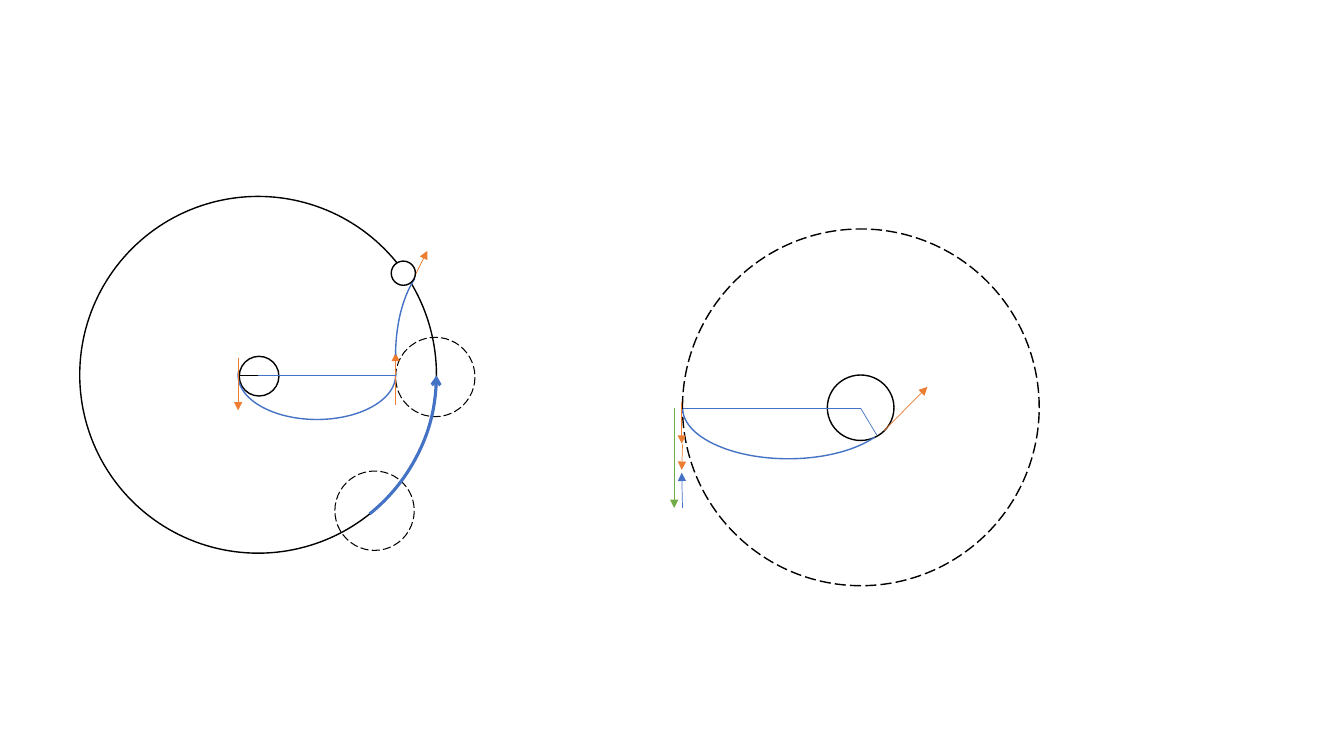
from lxml import etree
from pptx import Presentation
from pptx import util as u
from pptx.dml.color import RGBColor
from pptx.enum import dml, shapes
from pptx.oxml.ns import qn

BLACK = RGBColor(0x00, 0x00, 0x00)
WHITE = RGBColor(0xFF, 0xFF, 0xFF)
BLUE = RGBColor(0x44, 0x72, 0xC4)
ORANGE = RGBColor(0xED, 0x7D, 0x31)
GREEN = RGBColor(0x70, 0xAD, 0x47)

CIRCLE = shapes.MSO_SHAPE.FLOWCHART_CONNECTOR
ARC = shapes.MSO_SHAPE.ARC
ORBIT_SIZE = 8.99


def add_outline(parent, kind, box, color, width, fill=None, dashed=False):
    """Add a circle or an arc; box is left, top, width, height in cm."""
    shape = parent.add_shape(kind, *[u.Cm(length) for length in box])
    shape.shadow.inherit = False
    if fill is None:
        shape.fill.background()
    else:
        shape.fill.solid()
        shape.fill.fore_color.rgb = fill
    shape.line.color.rgb = color
    shape.line.width = u.Pt(width)
    if dashed:
        shape.line.dash_style = dml.MSO_LINE.LONG_DASH
    return shape


def add_lines(parent, lines):
    """Add thin lines given as start, end, color and whether an arrow ends them."""
    for start, end, color, arrow in lines:
        line = parent.add_connector(
            shapes.MSO_CONNECTOR.STRAIGHT, *[u.Cm(length) for length in start + end])
        line.line.color.rgb = color
        line.line.width = u.Pt(0.5)
        if arrow:
            etree.SubElement(line.line._get_or_add_ln(), qn("a:tailEnd"), type="triangle")
        etree.SubElement(line._element.spPr, qn("a:effectLst"))


presentation = Presentation()
presentation.slide_width = u.Cm(33.87)
presentation.slide_height = u.Cm(19.05)
slide = presentation.slides.add_slide(presentation.slide_layouts[6])

# Right: capture transfer, kept together as a group
capture = slide.shapes.add_group_shape().shapes
add_outline(capture, CIRCLE, (17.2, 5.77, ORBIT_SIZE, ORBIT_SIZE), BLACK, 1, WHITE, True)
add_outline(capture, CIRCLE, (20.85, 9.45, 1.68, 1.65), BLACK, 1, WHITE)
transfer = add_outline(capture, ARC, (17.2, 8.99, 5.33, 2.57), BLUE, 1)
transfer.rotation = 180
transfer.adjustments[0], transfer.adjustments[1] = 119.34, 215.55

# Right: radii and velocity arrows
add_lines(capture, [
    ((21.69, 10.29), (22.1, 10.97), BLUE, False),
    ((21.69, 10.29), (17.2, 10.29), BLUE, False),
    ((17.18, 10.13), (17.18, 11.18), ORANGE, True),
    ((22.28, 10.85), (23.37, 9.75), ORANGE, True),
    ((16.99, 10.29), (16.99, 12.8), GREEN, True),
    ((17.2, 11.2), (17.18, 11.84), ORANGE, True),
    ((17.2, 12.8), (17.18, 11.91), BLUE, True),
])

# Left: orbit, central body and sphere of influence at two dates
orbit = (2.01, 4.95, ORBIT_SIZE, ORBIT_SIZE)
add_outline(slide.shapes, CIRCLE, orbit, BLACK, 1, WHITE)
add_outline(slide.shapes, CIRCLE, (6.03, 8.98, 1, 1), BLACK, 1, WHITE)
add_outline(slide.shapes, CIRCLE, (9.97, 8.5, 2, 2), BLACK, 0.75, dashed=True)
transfer = add_outline(slide.shapes, ARC, (6, 8.33, 3.97, 2.24), BLUE, 1)
transfer.rotation = 180
transfer.adjustments[0], transfer.adjustments[1] = 107.29, 1.6
add_outline(slide.shapes, CIRCLE, (8.44, 11.87, 2, 2), BLACK, 0.75, dashed=True)

# Left: motion along the orbit
motion = add_outline(slide.shapes, ARC, orbit, BLUE, 2.25)
motion.adjustments[0], motion.adjustments[1] = 0.13, 30.77
etree.SubElement(motion.line._get_or_add_ln(), qn("a:headEnd"), type="arrow")

# Left: velocity arrows and radii
add_lines(slide.shapes, [
    ((6, 9.02), (6, 10.34), ORANGE, True),
    ((9.97, 10.21), (9.97, 8.89), ORANGE, True),
    ((6.5, 9.46), (6.02, 9.46), BLACK, False),
    ((6.5, 9.47), (9.97, 9.47), BLUE, False),
])

# Left: flyby path to the small body
flyby = add_outline(slide.shapes, ARC, (9.97, 6.53, 2.44, 4.85), BLUE, 1)
flyby.adjustments[0], flyby.adjustments[1] = 174.44, 0
flyby._element.spPr.xfrm.set("flipH", "1")
add_lines(slide.shapes, [((10.41, 7.04), (10.77, 6.32), ORANGE, True)])
add_outline(slide.shapes, CIRCLE, (9.86, 6.58, 0.61, 0.61), BLACK, 1, WHITE)

presentation.save("out.pptx")
